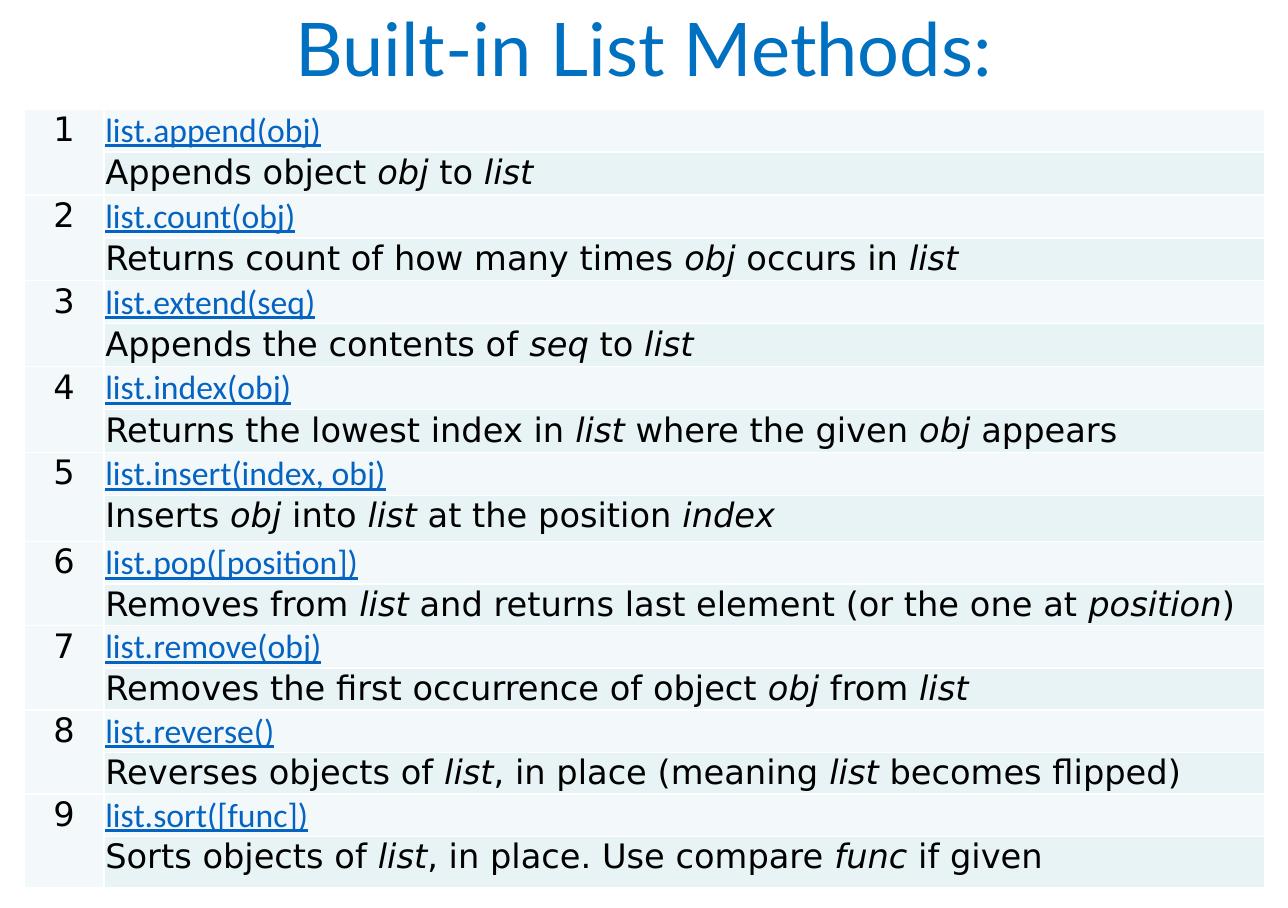
from pptx import Presentation
from pptx.dml.color import RGBColor
from pptx.enum.text import MSO_ANCHOR, PP_ALIGN
from pptx.util import Pt

PX = 914400 // 200
METHODS = [  # signature, description with *italic* words
    ("list.append(obj)", "Appends object *obj* to *list*"),
    ("list.count(obj)", "Returns count of how many times *obj* occurs in *list*"),
    ("list.extend(seq)", "Appends the contents of *seq* to *list*"),
    ("list.index(obj)", "Returns the lowest index in *list* where the given *obj* appears"),
    ("list.insert(index, obj)", "Inserts *obj* into *list* at the position *index*"),
    ("list.pop([position])",
     "Removes from *list *and returns last element (or the one at *position*)"),
    ("list.remove(obj)", "Removes the first occurrence of object *obj* from *list*"),
    ("list.reverse()", "Reverses objects of *list*, in place (meaning *list* becomes flipped)"),
    ("list.sort([func])", "Sorts objects of *list*, in place. Use compare *func* if given"),
]
ROW_HEIGHTS = [71] * 9 + [76] + [69] * 7 + [84]


def style(font, name, size, color):
    font.name = name
    font.size = Pt(size)
    font.color.rgb = RGBColor.from_string(color)


def fill_cell(cell, text, fill, side=2, font_name="DejaVu Sans", color="000000"):
    """Fill a cell; words between asterisks become italic."""
    cell.fill.solid()
    cell.fill.fore_color.rgb = RGBColor.from_string(fill)
    cell.margin_left = cell.margin_right = side * PX
    cell.margin_top, cell.margin_bottom = 2 * PX, 0
    paragraph = cell.text_frame.paragraphs[0]
    style(paragraph.font, font_name, 20, color)
    for index, part in enumerate(text.split("*")):
        if part:
            run = paragraph.add_run()
            run.text = part
            style(run.font, font_name, 20, color)
            run.font.italic = index % 2 == 1
    return paragraph


deck = Presentation()
deck.slide_width, deck.slide_height = 2128 * PX, 1500 * PX
slide = deck.slides.add_slide(deck.slide_layouts[5])

title = slide.shapes.title
title.left, title.top, title.width, title.height = 14 * PX, 0, 2100 * PX, 174 * PX
title.text_frame.text = "Built-in List Methods:"
title.text_frame.vertical_anchor = MSO_ANCHOR.MIDDLE
heading = title.text_frame.paragraphs[0]
heading.alignment = PP_ALIGN.CENTER
heading.line_spacing = 0.9
style(heading.runs[0].font, "Lato", 44, "0070C0")

methods = slide.shapes.add_table(
    len(ROW_HEIGHTS), 2, 40 * PX, 180 * PX, 2050 * PX, sum(ROW_HEIGHTS) * PX).table
methods.first_row = methods.horz_banding = False
methods.columns[0].width, methods.columns[1].width = 132 * PX, 1918 * PX
for row, height in zip(methods.rows, ROW_HEIGHTS):
    row.height = height * PX

for index, (signature, description) in enumerate(METHODS):
    top = 2 * index
    number = methods.cell(top, 0)
    number.merge(methods.cell(top + 1, 0))
    fill_cell(number, str(index + 1), "F3F9FA", side=0).alignment = PP_ALIGN.CENTER
    fill_cell(methods.cell(top + 1, 0), "", "F3F9FA", side=0)
    link = fill_cell(methods.cell(top, 1), signature, "F3F9FA",
                     font_name="Calibri", color="0563C1")
    link.runs[0].font.underline = True
    fill_cell(methods.cell(top + 1, 1), description, "E7F3F4")

deck.save("out.pptx")
